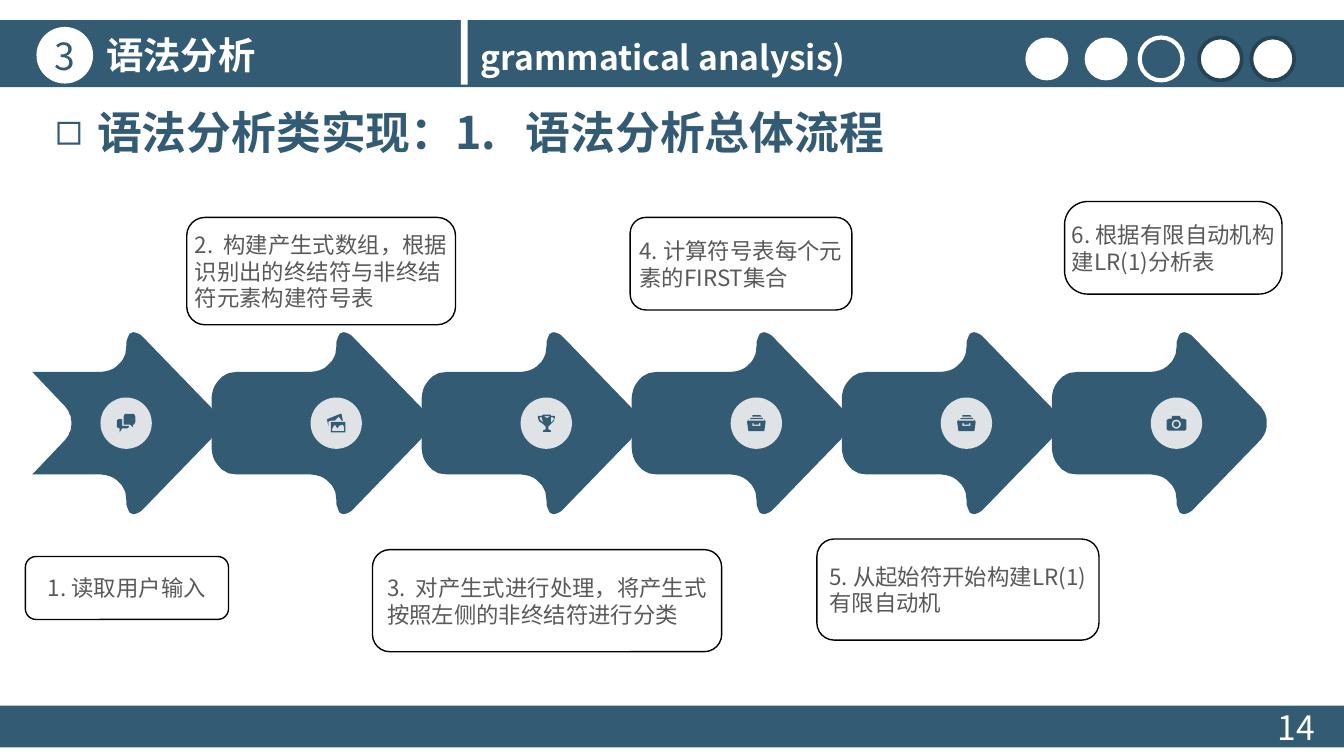
from dataclasses import dataclass
from math import cos, pi, sin

from lxml import etree
from pptx import Presentation
from pptx.dml.color import RGBColor
from pptx.enum.shapes import MSO_SHAPE
from pptx.enum.text import MSO_ANCHOR, MSO_AUTO_SIZE, PP_ALIGN
from pptx.oxml.ns import qn
from pptx.util import Cm, Pt

RECTANGLE, ROUNDED, OVAL = MSO_SHAPE.RECTANGLE, MSO_SHAPE.ROUNDED_RECTANGLE, MSO_SHAPE.OVAL
LEFT, CENTER = PP_ALIGN.LEFT, PP_ALIGN.CENTER
TOP, MIDDLE = MSO_ANCHOR.TOP, MSO_ANCHOR.MIDDLE
NO_AUTOSIZE = MSO_AUTO_SIZE.NONE


@dataclass(frozen=True)
class Theme:
    font: str = "Noto Sans CJK SC"
    blue: str = "335B74"
    dark_blue: str = "264356"
    white: str = "FFFFFF"
    pale: str = "DFE3E5"
    grey: str = "595959"
    black: str = "000000"
    heading: int = 24
    section: int = 20
    subtitle: int = 18
    note: int = 12


THEME = Theme()

# Process chain, in cm
FIRST_LEFT, PITCH, AXIS = 0.03, 3.97, 8.0
DISC_OFFSET, DISC_SIZE = 1.87, 0.97

# Upper halves of the arrow outline in 1/100 cm: one point is a line, three are a curve
TIP = (406, 0)
HEAD = [
    [(406, -12), (402, -25), (392, -34)],
    [(269, -161)],
    [(251, -180), (236, -173), (236, -147)],
    [(236, -119), (216, -97), (188, -97)],
]
ROUND_TAIL = [[(48, -97)], [(23, -97), (0, -76), (0, -48)], [(0, 0)]]
NOTCHED_TAIL = [[(58, -97)], [(117, -35)], [(127, -25), (132, -12), (132, 0)]]


def ring(center_x, center_y, radius):
    angles = [2 * pi * step / 12 for step in range(12)]
    return [(center_x + radius * cos(a), center_y + radius * sin(a)) for a in angles]


# Icon contours in tenths of an icon unit; inner contours are holes
def enlarge(contours):
    return [[(10 * x, 10 * y) for x, y in contour] for contour in contours]


CHAT = enlarge([
    [(1, 4), (4, 4), (4, 9), (9, 9), (9, 10), (8, 11), (4, 11), (2, 14), (2, 11), (0, 10), (0, 5)],
    [(6, 0), (13, 0), (14, 2), (14, 6), (13, 8), (12, 8), (12, 10), (10, 8), (5, 8), (5, 2)],
])
PHOTOS = enlarge([
    [(0, 4), (10, 0), (11, 0), (12, 5), (11, 5), (9, 2), (6, 5), (3, 5), (1, 6), (1, 9)],
    [(3, 6), (14, 6), (14, 14), (3, 14)],
    [(4, 13), (4, 11), (6, 8), (8, 11), (9, 9), (12, 8), (13, 10), (13, 13)],
])
TROPHY = enlarge([
    [(0, 1), (3, 1), (4, 0), (10, 0), (10, 1), (13, 1), (13, 2), (12, 5), (10, 7), (8, 9),
     (8, 11), (10, 12), (10, 13), (4, 13), (4, 12), (6, 11), (6, 9), (4, 7), (1, 5), (0, 2)],
    [(1, 2), (3, 2), (4, 6), (2, 4)],
    [(12, 2), (10, 2), (10, 6), (12, 4)],
    [(4.5, 1.5), (7, 1), (9.5, 1.5), (7, 2.5)],
])
DRAWER = enlarge([
    [(4, 0), (10, 0), (11, 1), (4, 1)],
    [(3, 2), (12, 2), (12, 3), (2, 3)],
    [(1, 3), (1, 4), (13, 4), (13, 3), (14, 5), (13, 12), (1, 12), (0, 5)],
    [(4, 6), (5, 6), (5, 7), (9, 7), (9, 6), (10, 6), (10, 8), (4, 8)],
])
CAMERA = enlarge([
    [(2, 2), (4, 2), (4, 0), (10, 0), (11, 2), (13, 2), (15, 3), (15, 10), (14, 11), (1, 11),
     (0, 10), (0, 3)],
    ring(7.3, 6.2, 3.5),
    ring(7.3, 6.2, 2.2),
])

ICONS = [CHAT, PHOTOS, TROPHY, DRAWER, DRAWER, CAMERA]

# Note boxes: left, top, width, height in cm, corner ratio, text
NOTES = [
    (0.48, 10.52, 3.84, 1.19, 0.17, "1. 读取用户输入"),
    (3.53, 4.11, 5.08, 2.03, 0.17, "2.  构建产生式数组，根据识别出的终结符与非终结符元素构建符号表"),
    (7.04, 10.39, 6.6, 1.93, 0.17, "3.  对产生式进行处理，将产生式按照左侧的非终结符进行分类"),
    (11.91, 4.11, 4.19, 1.75, 0.17, "4. 计算符号表每个元素的FIRST集合"),
    (15.44, 10.19, 5.33, 1.91, 0.17, "5. 从起始符开始构建LR(1)有限自动机"),
    (20.12, 3.81, 4.11, 1.75, 0.25, "6. 根据有限自动机构建LR(1)分析表"),
]

# Progress dots: left in cm, fill, line, line width
DOTS = [
    (19.38, THEME.white, None, 0),
    (20.5, THEME.white, None, 0),
    (21.54, None, THEME.white, 2.25),
    (22.66, THEME.white, THEME.dark_blue, 2),
    (23.65, THEME.white, THEME.dark_blue, 2),
]


def paint(shape, fill, line=None, line_width=0):
    shape.shadow.inherit = False
    if fill:
        shape.fill.solid()
        shape.fill.fore_color.rgb = RGBColor.from_string(fill)
    else:
        shape.fill.background()
    if line:
        shape.line.color.rgb = RGBColor.from_string(line)
        shape.line.width = Pt(line_width)
    else:
        shape.line.fill.background()


def add_block(slide, kind, left, top, width, height, fill, line=None, line_width=0):
    shape = slide.shapes.add_shape(kind, Cm(left), Cm(top), Cm(width), Cm(height))
    paint(shape, fill, line, line_width)
    return shape


def write(shape, text, size, color, bold=False, align=LEFT, anchor=TOP, wrap=True):
    frame = shape.text_frame
    frame.text = text
    frame.word_wrap = wrap
    frame.auto_size = NO_AUTOSIZE
    frame.vertical_anchor = anchor
    paragraph = frame.paragraphs[0]
    paragraph.alignment = align
    paragraph.space_before = Pt(0)
    font = paragraph.font
    font.size, font.bold, font.name = Pt(size), bold, THEME.font
    font.color.rgb = RGBColor.from_string(color)
    etree.SubElement(font._rPr, qn("a:ea"), typeface=THEME.font)
    return paragraph


def clear_margins(shape):
    frame = shape.text_frame
    frame.margin_left = frame.margin_top = frame.margin_right = frame.margin_bottom = 0


def place(shape, left, top, width, height):
    shape.left, shape.top, shape.width, shape.height = Cm(left), Cm(top), Cm(width), Cm(height)


def add_label(slide, left, top, width, height, text, **style):
    label = slide.shapes.add_textbox(Cm(left), Cm(top), Cm(width), Cm(height))
    write(label, text, THEME.subtitle, THEME.white, **style)


def add_outline(slide, contours, scale, left, top, fill):
    builder = slide.shapes.build_freeform(*contours[0][0], scale=scale)
    builder.add_line_segments(contours[0][1:], close=True)
    for contour in contours[1:]:
        builder.move_to(*contour[0])
        builder.add_line_segments(contour[1:], close=True)
    shape = builder.convert_to_shape(left, top)
    paint(shape, fill)
    return shape


def arrow_outline(tail, steps=10):
    half = [TIP]
    for segment in HEAD + tail:
        if len(segment) == 1:
            half += segment
            continue
        curve = [half[-1], *segment]
        for t in (step / steps for step in range(1, steps + 1)):
            weights = ((1 - t) ** 3, 3 * t * (1 - t) ** 2, 3 * t * t * (1 - t), t ** 3)
            half.append(tuple(sum(w * p[axis] for w, p in zip(weights, curve)) for axis in (0, 1)))
    return half + [(x, -y) for x, y in reversed(half[1:-1])]


def add_step(slide, index, icon):
    left = FIRST_LEFT + index * PITCH
    tail = ROUND_TAIL if index else NOTCHED_TAIL
    add_outline(slide, [arrow_outline(tail)], Cm(1) / 100, Cm(left), Cm(AXIS), THEME.blue)
    disc = add_block(slide, OVAL, left + DISC_OFFSET, AXIS - DISC_SIZE / 2, DISC_SIZE, DISC_SIZE,
                     THEME.pale)
    symbol = add_outline(slide, icon, Cm(0.25) / 100, disc.left, disc.top, THEME.blue)
    symbol.left = disc.left + (disc.width - symbol.width) // 2
    symbol.top = disc.top + (disc.height - symbol.height) // 2


def add_note(slide, left, top, width, height, corner, text):
    note = add_block(slide, ROUNDED, left, top, width, height, None, THEME.black, 0.75)
    note.adjustments[0] = corner
    clear_margins(note)
    write(note, text, THEME.note, THEME.grey, anchor=MIDDLE)
    note.text_frame._txBody.bodyPr.set("anchorCtr", "1")


def add_header(slide):
    add_block(slide, RECTANGLE, 0, 0.38, 25.4, 1.27, THEME.blue)
    for left, fill, line, line_width in DOTS:
        add_block(slide, OVAL, left, 0.71, 0.81, 0.81, fill, line, line_width)
    badge = add_block(slide, OVAL, 0.69, 0.51, 1.07, 1.07, THEME.white)
    clear_margins(badge)
    write(badge, "3", THEME.section, THEME.blue, align=CENTER, anchor=MIDDLE)
    add_block(slide, RECTANGLE, 8.71, 0.38, 0.13, 1.22, THEME.white)
    add_label(slide, 8.84, 0.58, 7.54, 1.02, "grammatical analysis)", bold=True, wrap=False)
    # The title stands in front of the header bar
    title = slide.shapes.title
    place(title, 1.75, 0.48, 3.36, 1.12)
    write(title, "语法分析", THEME.section, THEME.white, bold=True, wrap=False)
    slide.shapes._spTree.append(title._element)


def add_heading(slide):
    body = slide.placeholders[1]
    place(body, 0.79, 1.85, 20.32, 1.27)
    paragraph = write(body, "语法分析类实现：1.\t语法分析总体流程", THEME.heading, THEME.blue, bold=True)
    properties = paragraph._p.get_or_add_pPr()
    properties.set("marL", str(Cm(0.79)))
    properties.set("indent", str(-Cm(0.79)))
    bullet = etree.Element(qn("a:buChar"), char="◻")
    properties.find(qn("a:defRPr")).addprevious(bullet)


def add_footer(slide):
    add_block(slide, RECTANGLE, 0, 13.34, 25.4, 0.79, THEME.blue)
    add_label(slide, 23.9, 13.23, 1.5, 1.02, "14")


def main():
    presentation = Presentation()
    presentation.slide_width, presentation.slide_height = Cm(25.4), Cm(14.29)
    slide = presentation.slides.add_slide(presentation.slide_layouts[1])
    add_header(slide)
    add_heading(slide)
    for index, icon in enumerate(ICONS):
        add_step(slide, index, icon)
    for note in NOTES:
        add_note(slide, *note)
    add_footer(slide)
    presentation.save("out.pptx")


if __name__ == "__main__":
    main()
